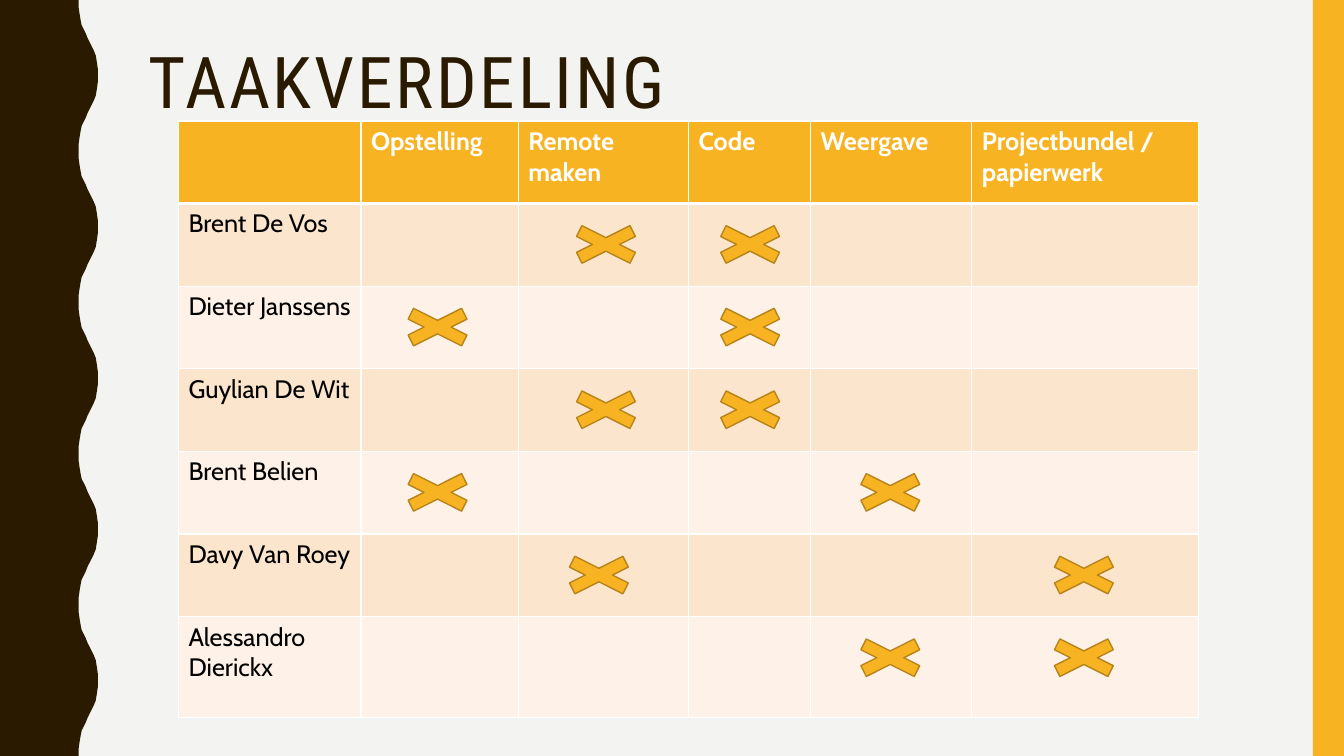
from lxml import etree
from pptx import Presentation
from pptx.dml.color import RGBColor
from pptx.enum.shapes import MSO_SHAPE
from pptx.enum.text import MSO_ANCHOR
from pptx.oxml.ns import qn
from pptx.util import Inches, Pt

RECTANGLE = MSO_SHAPE.RECTANGLE
CROSS = MSO_SHAPE.MATH_MULTIPLY
TOP = MSO_ANCHOR.TOP

COLORS = {
    "background": "F3F3F2", "brown": "2A1A00", "yellow": "F8B323",
    "outline": "B7841A", "white": "FFFFFF", "black": "000000",
    "band_dark": "FCE5CD", "band_light": "FEF2E8",
}
TITLE_FONT, BODY_FONT = "Roboto Condensed", "Cabin"

# One rising half of the wavy edge; the falling half mirrors it
WAVE_PERIOD, WAVE_COUNT = 1.5, 5
WAVE_RISE = [
    (0.78, 0), (0.78, 0.07), (0.79, 0.14), (0.8, 0.2), (0.81, 0.25),
    (0.83, 0.29), (0.85, 0.33), (0.87, 0.38), (0.89, 0.42), (0.91, 0.46),
    (0.93, 0.5), (0.95, 0.55), (0.96, 0.61), (0.97, 0.68), (0.97, 0.75),
]

HEADERS = ["", "Opstelling", "Remote maken", "Code", "Weergave",
           "Projectbundel / papierwerk"]
COLUMN_WIDTHS = [1.81, 1.56, 1.69, 1.21, 1.6, 2.25]
ROW_HEIGHT, LAST_ROW_HEIGHT = 0.82, 1.0

# Left edge of the crosses under each task
SETUP, REMOTE, CODE, DISPLAY, PAPERWORK = 3.83, 5.5, 6.93, 8.32, 10.24
FIRST_CROSS_TOP = 2.17
TASKS = {
    "Brent De Vos": [REMOTE, CODE],
    "Dieter Janssens": [SETUP, CODE],
    "Guylian De Wit": [REMOTE, CODE],
    "Brent Belien": [SETUP, DISPLAY],
    "Davy Van Roey": [REMOTE - 0.07, PAPERWORK],
    "Alessandro Dierickx": [DISPLAY, PAPERWORK],
}


def color(name):
    return RGBColor.from_string(COLORS[name])


def write_text(frame, text, font=BODY_FONT, size=18, fill="black", bold=False,
               line_spacing=None, letter_spacing=None):
    para = frame.paragraphs[0]
    para.line_spacing = line_spacing
    span = para.add_run()
    span.text = text
    span.font.name, span.font.size, span.font.bold = font, Pt(size), bold
    span.font.color.rgb = color(fill)
    if letter_spacing:
        span.font._element.set("spc", str(letter_spacing * 100))


def set_borders(cell, bottom_width=1):
    properties = cell._tc.get_or_add_tcPr()
    widths = {"a:lnL": 1, "a:lnR": 1, "a:lnT": 1, "a:lnB": bottom_width}
    for tag, width in widths.items():
        line = etree.SubElement(properties, qn(tag), w=str(Pt(width)))
        fill = etree.SubElement(line, qn("a:solidFill"))
        etree.SubElement(fill, qn("a:srgbClr"), val=COLORS["white"])


class TaskSlide:
    def __init__(self, deck):
        self.page = deck.slides.add_slide(deck.slide_layouts[6])
        self.shapes = self.page.shapes
        self.page.background.fill.solid()
        self.page.background.fill.fore_color.rgb = color("background")

    def paint(self, shape, fill, outline=None):
        shape.shadow.inherit = False
        shape.fill.solid()
        shape.fill.fore_color.rgb = color(fill)
        if outline:
            shape.line.color.rgb = color(outline)
            shape.line.width = Pt(1)
        else:
            shape.line.fill.background()

    def wave(self):
        fall = [(x, WAVE_PERIOD - y) for x, y in reversed(WAVE_RISE)]
        edge = [(Inches(x), Inches(y + index * WAVE_PERIOD))
                for index in range(WAVE_COUNT) for x, y in WAVE_RISE + fall]
        builder = self.shapes.build_freeform(0, 0)
        builder.add_line_segments(edge + [(0, Inches(7.5))], close=True)
        self.paint(builder.convert_to_shape(), "brown")

    def shape(self, kind, left, top, width, height, fill, outline=None):
        box = self.shapes.add_shape(kind, Inches(left), Inches(top),
                                    Inches(width), Inches(height))
        self.paint(box, fill, outline)

    def title(self, text, left, top, width, height):
        box = self.shapes.add_textbox(Inches(left), Inches(top),
                                      Inches(width), Inches(height))
        box.text_frame.word_wrap = True
        box.text_frame.vertical_anchor = TOP
        write_text(box.text_frame, text, font=TITLE_FONT, size=51,
                   fill="brown", line_spacing=0.9, letter_spacing=2)

    def table(self, rows, left, top):
        heights = [ROW_HEIGHT] * (len(rows) - 1) + [LAST_ROW_HEIGHT]
        table = self.shapes.add_table(
            len(rows), len(COLUMN_WIDTHS), Inches(left), Inches(top),
            Inches(sum(COLUMN_WIDTHS)), Inches(sum(heights))).table
        table.first_row = table.horz_banding = False
        for column, width in zip(table.columns, COLUMN_WIDTHS):
            column.width = Inches(width)
        for index, (row, height, texts) in enumerate(zip(table.rows, heights, rows)):
            row.height = Inches(height)
            header = index == 0
            band = "yellow" if header else "band_dark" if index % 2 else "band_light"
            for cell, text in zip(row.cells, texts):
                set_borders(cell, bottom_width=3 if header else 1)
                cell.fill.solid()
                cell.fill.fore_color.rgb = color(band)
                if text:
                    write_text(cell.text_frame, text, bold=header,
                               fill="white" if header else "black")


def main():
    deck = Presentation()
    deck.slide_width, deck.slide_height = Inches(13.33), Inches(7.5)
    slide = TaskSlide(deck)

    # Side decoration and title
    slide.wave()
    slide.shape(RECTANGLE, 13.02, 0, 0.31, 7.5, "yellow")
    slide.title("TAAKVERDELING", 1.37, 0.42, 11.13, 1.63)

    # Task table
    blanks = [""] * (len(HEADERS) - 1)
    slide.table([HEADERS] + [[name] + blanks for name in TASKS], 1.77, 1.2)

    # Crosses for the assigned tasks
    for index, lefts in enumerate(TASKS.values()):
        for left in lefts:
            slide.shape(CROSS, left, FIRST_CROSS_TOP + index * ROW_HEIGHT,
                        1.02, 0.51, "yellow", "outline")

    deck.save("out.pptx")


if __name__ == "__main__":
    main()
